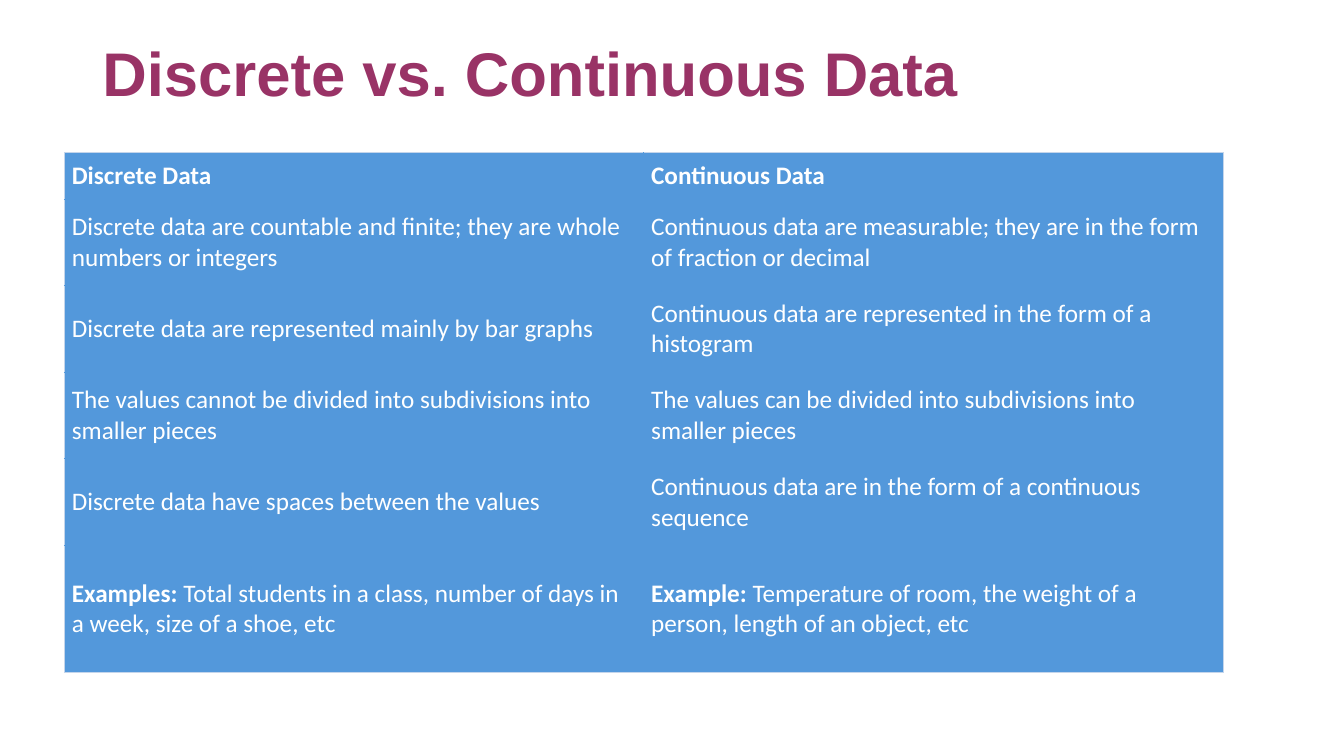
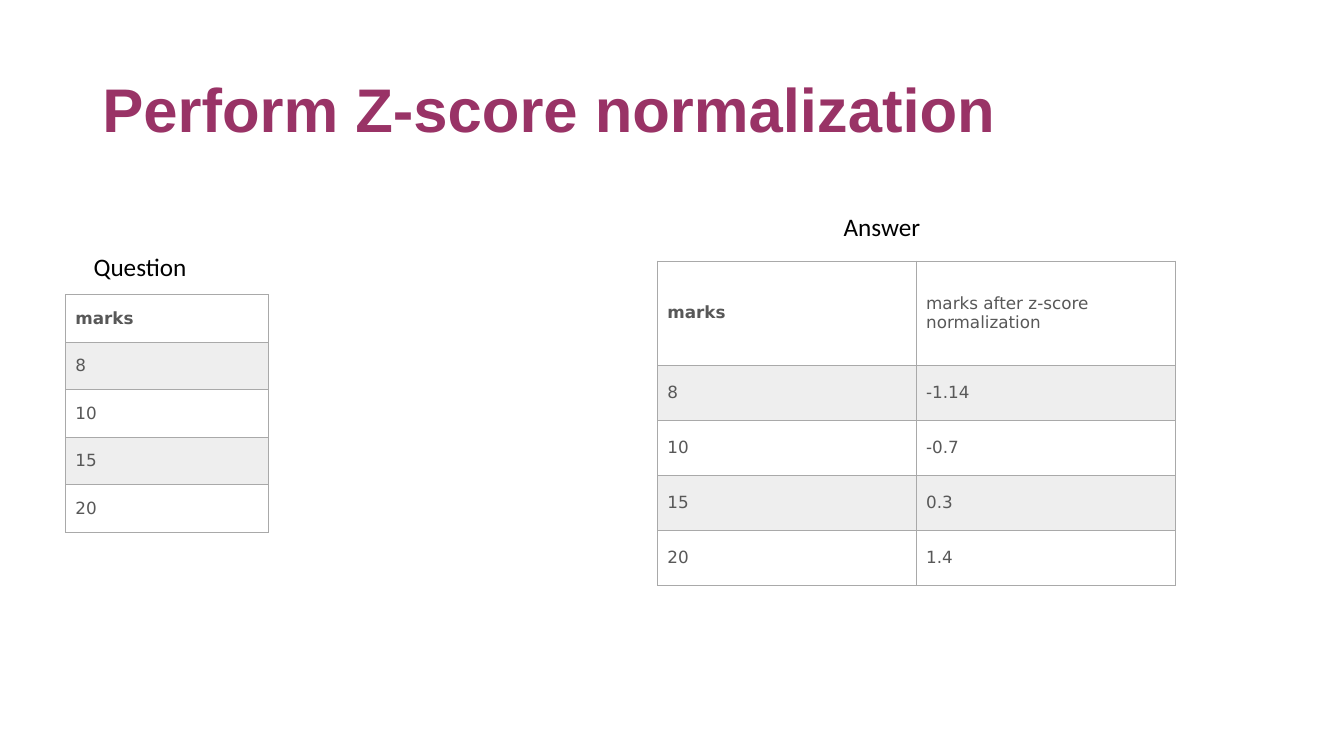
import pptx
import pptx.dml.color
import pptx.enum.text
import pptx.util
from lxml import etree
from pptx.util import Cm

COLORS = {
    "title": "993366",
    "caption": "000000",
    "panel": "5398DB",
    "panel_text": "FFFFFF",
    "panel_edge": "C4D5EB",
    "grid": "A9A9A9",
    "grid_text": "585858",
    "plain_row": "FFFFFF",
    "shaded_row": "EEEEEE",
}
DRAWING_NS = "http://schemas.openxmlformats.org/drawingml/2006/main"
MIDDLE = pptx.enum.text.MSO_ANCHOR.MIDDLE


def rgb(name):
    return pptx.dml.color.RGBColor.from_string(COLORS[name])


class Deck:
    """Holds the presentation, its style and the current slide."""

    def __init__(self):
        self.presentation = pptx.Presentation()
        self.presentation.slide_width = Cm(33.87)
        self.presentation.slide_height = Cm(19.05)
        self.slide = None

    def new_slide(self):
        blank = self.presentation.slide_layouts[6]
        self.slide = self.presentation.slides.add_slide(blank)

    def add_run(self, paragraph, text, font, size, color, bold=False):
        run = paragraph.add_run()
        run.text = text
        run.font.name = font
        run.font.size = pptx.util.Pt(size)
        run.font.bold = bold
        run.font.color.rgb = rgb(color)

    def frame(self, left, top, width, height):
        """Add an empty wrapping text box and return its text frame."""
        box = self.slide.shapes.add_textbox(Cm(left), Cm(top), Cm(width), Cm(height))
        box.text_frame.word_wrap = True
        return box.text_frame

    def title(self, text, bottom_inset=0.13):
        frame = self.frame(2.33, 1.01, 29.21, 3.68)
        frame.vertical_anchor = MIDDLE
        frame.margin_bottom = Cm(bottom_inset)
        heading = frame.paragraphs[0]
        heading.line_spacing = 0.9
        self.add_run(heading, text, "Arial", 44, "title", bold=True)

    def caption(self, text, left, top):
        frame = self.frame(left, top, 4.17, 1.02)
        self.add_run(frame.paragraphs[0], text, "Calibri", 18, "caption")

    def table(self, left, top, col_widths, row_heights):
        graphic = self.slide.shapes.add_table(
            len(row_heights), len(col_widths), Cm(left), Cm(top),
            Cm(sum(col_widths)), Cm(sum(row_heights)))
        table = graphic.table
        table.first_row = table.horz_banding = False
        for column, width in zip(table.columns, col_widths):
            column.width = Cm(width)
        for row, height in zip(table.rows, row_heights):
            row.height = Cm(height)
        return table

    def cell(self, cell, runs, fill, borders, insets, **text_style):
        """Fill a cell; borders are (colour, points) for left, right, top, bottom."""
        cell.vertical_anchor = MIDDLE
        cell.margin_left = cell.margin_right = Cm(insets[0])
        cell.margin_top = cell.margin_bottom = Cm(insets[1])
        properties = cell._tc.get_or_add_tcPr()
        for side, (color, points) in zip("LRTB", borders):
            line = etree.SubElement(properties, f"{{{DRAWING_NS}}}ln{side}",
                                    w=str(pptx.util.Pt(points)))
            solid = etree.SubElement(line, f"{{{DRAWING_NS}}}solidFill")
            etree.SubElement(solid, f"{{{DRAWING_NS}}}srgbClr", val=COLORS[color])
        cell.fill.solid()
        cell.fill.fore_color.rgb = rgb(fill)
        for text, bold in runs:
            self.add_run(cell.text_frame.paragraphs[0], text, bold=bold, **text_style)

    def comparison_table(self, left, top, col_widths, row_heights, rows):
        """Blue panel with an outer edge only; rows hold lists of (text, bold)."""
        table = self.table(left, top, col_widths, row_heights)
        last_row, last_col = len(row_heights) - 1, len(col_widths) - 1
        for r, row in enumerate(rows):
            for c, runs in enumerate(row):
                on_edge = (c == 0, c == last_col, r == 0, r == last_row)
                borders = [("panel_edge" if edge else "panel", 0.5) for edge in on_edge]
                self.cell(table.cell(r, c), runs, "panel", borders, (0.19, 0.05),
                          font="Calibri", size=18, color="panel_text")

    def marks_table(self, left, top, col_widths, row_heights, rows):
        """Gridded table with alternate shading and a bold first cell."""
        table = self.table(left, top, col_widths, row_heights)
        for r, row in enumerate(rows):
            fill = "shaded_row" if r % 2 else "plain_row"
            for c, text in enumerate(row):
                self.cell(table.cell(r, c), [(text, r == c == 0)], fill,
                          [("grid", 0.75)] * 4, (0.25, 0.13),
                          font="DejaVu Sans", size=12, color="grid_text")


def comparison_slide(deck):
    headings = ("Discrete Data", "Continuous Data")
    differences = [
        ("Discrete data are countable and finite; they are whole numbers or integers",
         "Continuous data are measurable; they are in the form of fraction or decimal"),
        ("Discrete data are represented mainly by bar graphs",
         "Continuous data are represented in the form of a histogram"),
        ("The values cannot be divided into subdivisions into smaller pieces",
         "The values can be divided into subdivisions into smaller pieces"),
        ("Discrete data have spaces between the values",
         "Continuous data are in the form of a continuous sequence"),
    ]
    examples = [
        [("Examples:", True),
         (" Total students in a class, number of days in a week, size of a shoe, etc", False)],
        [("Example:", True),
         (" Temperature of room, the weight of a person, length of an object, etc", False)],
    ]
    rows = [[[(text, True)] for text in headings]]
    rows += [[[(text, False)] for text in pair] for pair in differences]
    rows.append(examples)

    deck.new_slide()
    deck.title("Discrete vs. Continuous Data", bottom_inset=1.99)
    deck.comparison_table(1.62, 3.85, [14.6] * 2, [1.17] + [2.18] * 4 + [3.2], rows)


def normalization_slide(deck):
    scores = [("marks", "marks after z-score normalization"),
              ("8", "-1.14"), ("10", "-0.7"), ("15", "0.3"), ("20", "1.4")]

    deck.new_slide()
    deck.title("Perform Z-score normalization")
    deck.marks_table(1.65, 7.42, [5.12], [1.2] * 5, [row[:1] for row in scores])
    deck.marks_table(16.57, 6.58, [6.52] * 2, [2.62] + [1.39] * 4, scores)
    deck.caption("Answer", 21.01, 5.21)
    deck.caption("Question", 2.11, 6.22)


def main():
    deck = Deck()
    comparison_slide(deck)
    normalization_slide(deck)
    deck.presentation.save("out.pptx")


if __name__ == "__main__":
    main()
